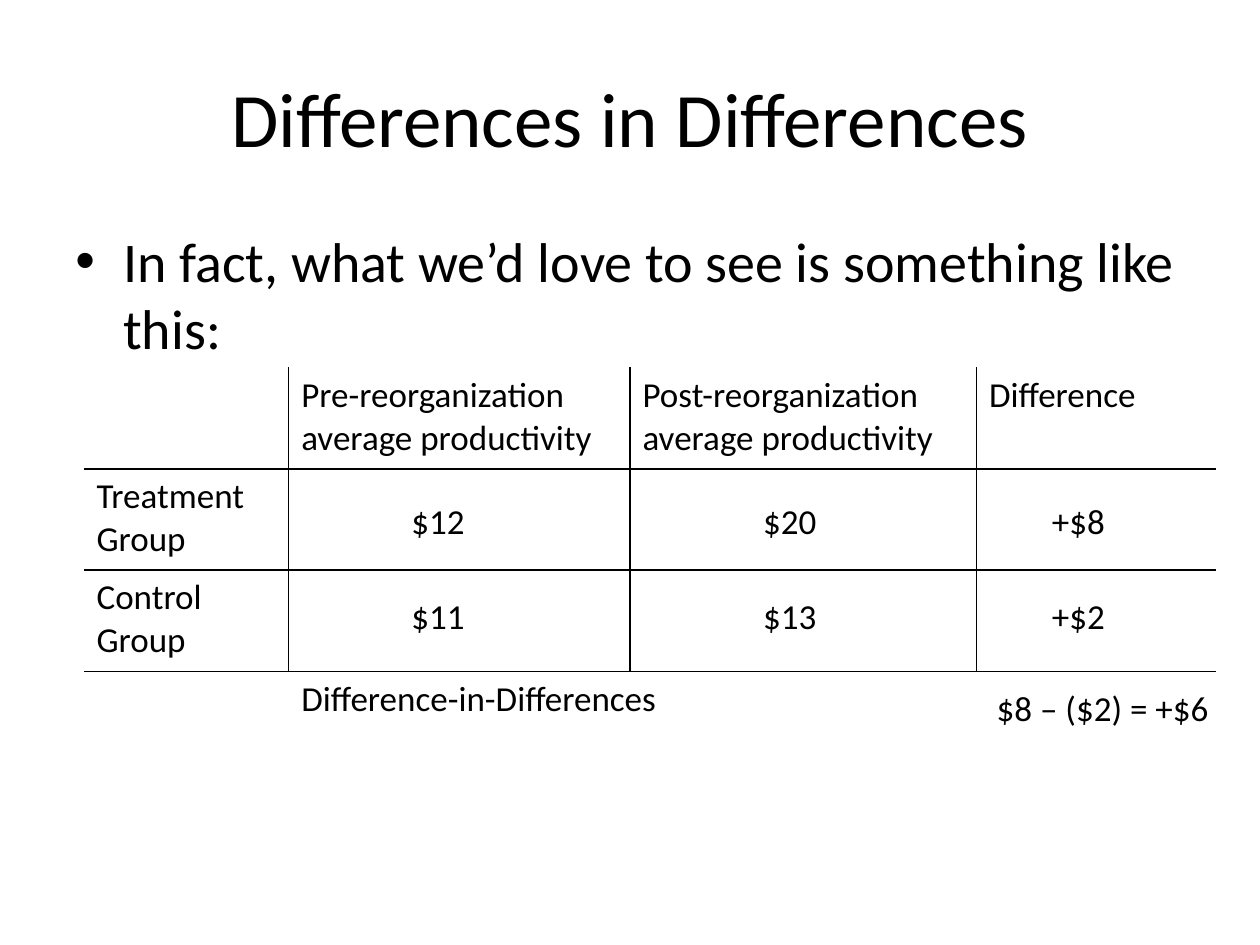
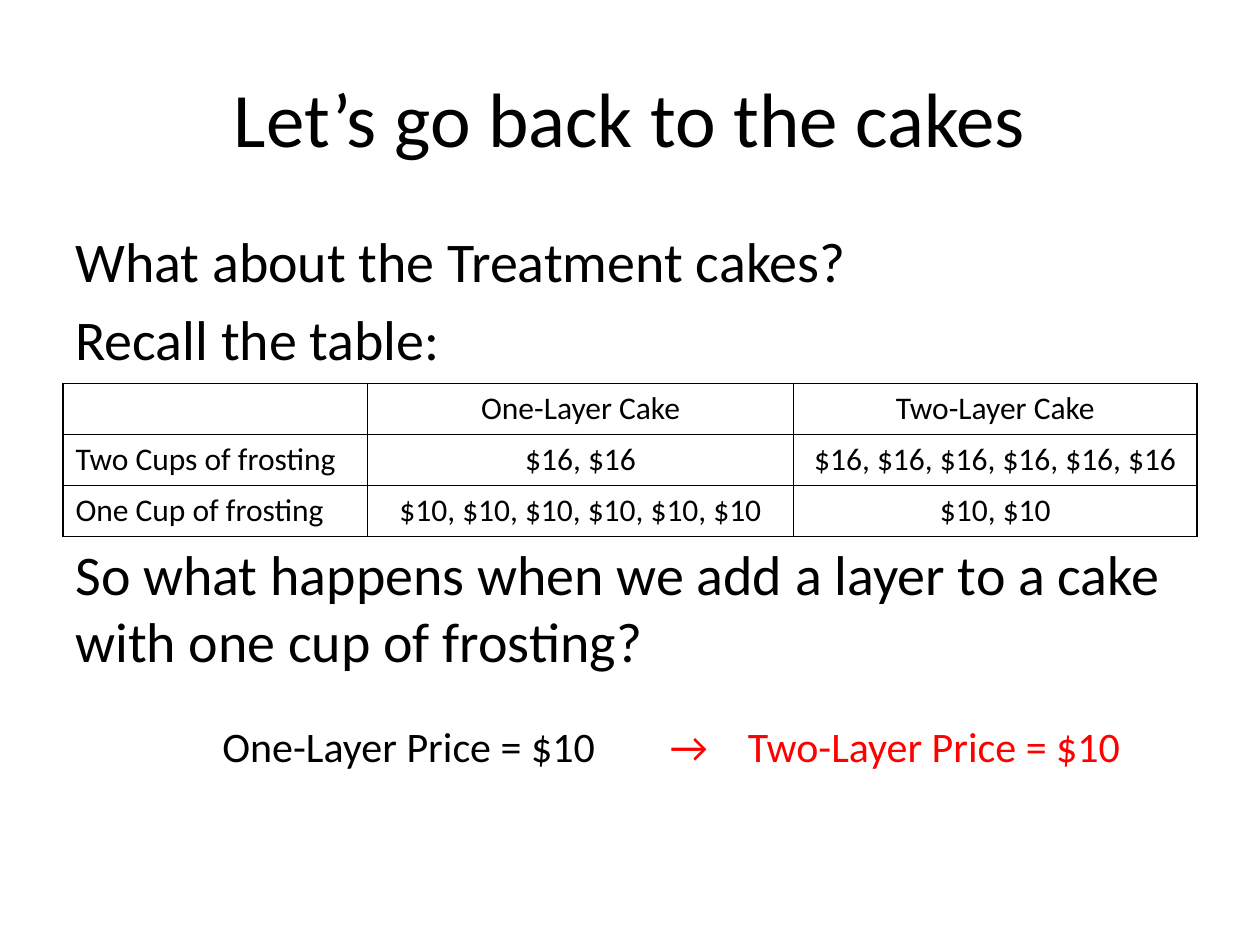
"""Build two slides on differences in differences, each with a title, body text and a table."""
import pptx
import pptx.dml.color
import pptx.enum.text
import pptx.oxml.ns
import pptx.util
from lxml import etree

COLORS = {"text": "000000", "line": "000000", "answer": "FF0000"}
FONT = "Calibri"
COLUMNS, ROWS = 120, 90
LEFT, CENTER = pptx.enum.text.PP_ALIGN.LEFT, pptx.enum.text.PP_ALIGN.CENTER
TOP, MIDDLE = pptx.enum.text.MSO_ANCHOR.TOP, pptx.enum.text.MSO_ANCHOR.MIDDLE
TITLE_BOX = (6, 3.6, 108, 15)
BODY_BOX = (6, 21, 108, 59.4)

presentation = pptx.Presentation()
presentation.slide_width = pptx.util.Inches(10)
presentation.slide_height = pptx.util.Inches(7.5)
column = presentation.slide_width / COLUMNS
row = presentation.slide_height / ROWS
qn = pptx.oxml.ns.qn


def add_text(slide, box, lines, size, color="text", align=LEFT, anchor=TOP):
    """Add a text box in grid units; each line is a pair of text and space before."""
    left, top, width, height = box
    shape = slide.shapes.add_textbox(int(left * column), int(top * row),
                                     int(width * column), int(height * row))
    frame = shape.text_frame
    frame.word_wrap = True
    frame.vertical_anchor = anchor
    for index, (text, space) in enumerate(lines):
        paragraph = frame.paragraphs[0] if index == 0 else frame.add_paragraph()
        paragraph.alignment = align
        paragraph.space_before = pptx.util.Pt(space)
        run = paragraph.add_run()
        run.text = text
        run.font.name = FONT
        run.font.size = pptx.util.Pt(size)
        run.font.color.rgb = pptx.dml.color.RGBColor.from_string(COLORS[color])
    return frame


def add_grid_table(slide, left, top, widths, height, cells, size, boxed, align):
    """Add a table with inner rules; a boxed one also has an outer frame."""
    last_row, last_column = len(cells) - 1, len(widths) - 1
    table = slide.shapes.add_table(
        len(cells), len(widths), int(left * column), int(top * row),
        int(sum(widths) * column), int(height * len(cells) * row)).table
    table.first_row = table.horz_banding = False
    for index, width in enumerate(widths):
        table.columns[index].width = int(width * column)
    for r, texts in enumerate(cells):
        table.rows[r].height = int(height * row)
        for c, text in enumerate(texts):
            cell = table.cell(r, c)
            upright = boxed or r < last_row
            sides = {"L": upright and (boxed or c > 0),
                     "R": upright and (boxed or c < last_column),
                     "T": boxed or r > 0,
                     "B": boxed or r < last_row}
            properties = cell._tc.get_or_add_tcPr()
            for side, drawn in sides.items():
                line = etree.SubElement(properties, qn(f"a:ln{side}"), w=str(pptx.util.Pt(1)))
                if drawn:
                    fill = etree.SubElement(line, qn("a:solidFill"))
                    etree.SubElement(fill, qn("a:srgbClr"), val=COLORS["line"])
                else:
                    etree.SubElement(line, qn("a:noFill"))
            cell.fill.background()
            for index, part in enumerate(text.split("\n") if text else []):
                frame = cell.text_frame
                paragraph = frame.paragraphs[0] if index == 0 else frame.add_paragraph()
                paragraph.alignment = align if c > 0 else LEFT
                run = paragraph.add_run()
                run.text = part
                run.font.name = FONT
                run.font.size = pptx.util.Pt(size)
                run.font.color.rgb = pptx.dml.color.RGBColor.from_string(COLORS["text"])
    return table


slides = []
for title in ("Differences in Differences", "Let’s go back to the cakes"):
    slide = presentation.slides.add_slide(presentation.slide_layouts[6])
    add_text(slide, TITLE_BOX, [(title, 0)], 44, align=CENTER, anchor=MIDDLE)
    slides.append(slide)
productivity_slide, cake_slide = slides

body = add_text(productivity_slide, BODY_BOX,
                [("In fact, what we’d love to see is something like this:", 0)], 32)
bullet_properties = body.paragraphs[0]._p.get_or_add_pPr()
indent = pptx.util.Inches(0.38)
bullet_properties.set("marL", str(indent))
bullet_properties.set("indent", str(-indent))
etree.SubElement(bullet_properties, qn("a:buFont"), typeface="Arial")
etree.SubElement(bullet_properties, qn("a:buChar"), char="•")

productivity_table = add_grid_table(
    productivity_slide, 8, 35, (19.5, 32.5, 33, 22.8), 9.65,
    [("", "Pre-reorganization average productivity",
      "Post-reorganization average productivity", "Difference"),
     ("Treatment\nGroup", "", "", ""),
     ("Control\nGroup", "", "", ""),
     ("", "Difference-in-Differences", "", "")],
    20, boxed=False, align=LEFT)
productivity_table.cell(3, 1).merge(productivity_table.cell(3, 2))

for left, amounts in ((38, ("$12", "$11")), (71.5, ("$20", "$13")), (99, ("+$8", "+$2"))):
    for top, amount in zip((47, 56), amounts):
        add_text(productivity_slide, (left, top, 9, 5.25), [(amount, 0)], 20)
add_text(productivity_slide, (93.75, 64.8, 24, 5.25), [("$8 – ($2) = +$6", 0)], 20)

add_text(cake_slide, BODY_BOX,
         [("What about the Treatment cakes?", 0),
          ("Recall the table:", 6),
          ("So what happens when we add a layer to a cake with one cup of frosting?", 96)], 32)
add_grid_table(
    cake_slide, 6, 36.5, (29, 40.6, 38.4), 4.87,
    [("", "One-Layer Cake", "Two-Layer Cake"),
     ("Two Cups of frosting", "$16, $16", "$16, $16, $16, $16, $16, $16"),
     ("One Cup of frosting", "$10, $10, $10, $10, $10, $10", "$10, $10")],
    18, boxed=True, align=CENTER)

add_text(cake_slide, (20, 68, 38, 6), [("One-Layer Price = $10", 0)], 24)
answer = add_text(cake_slide, (62, 68, 47, 9.7), [("→\tTwo-Layer Price = $10", 0)], 24, "answer")
answer.margin_left = pptx.util.Inches(0.15)
tabs = etree.SubElement(answer.paragraphs[0]._p.get_or_add_pPr(), qn("a:tabLst"))
etree.SubElement(tabs, qn("a:tab"), pos=str(pptx.util.Inches(0.62)), algn="l")

presentation.save("out.pptx")
